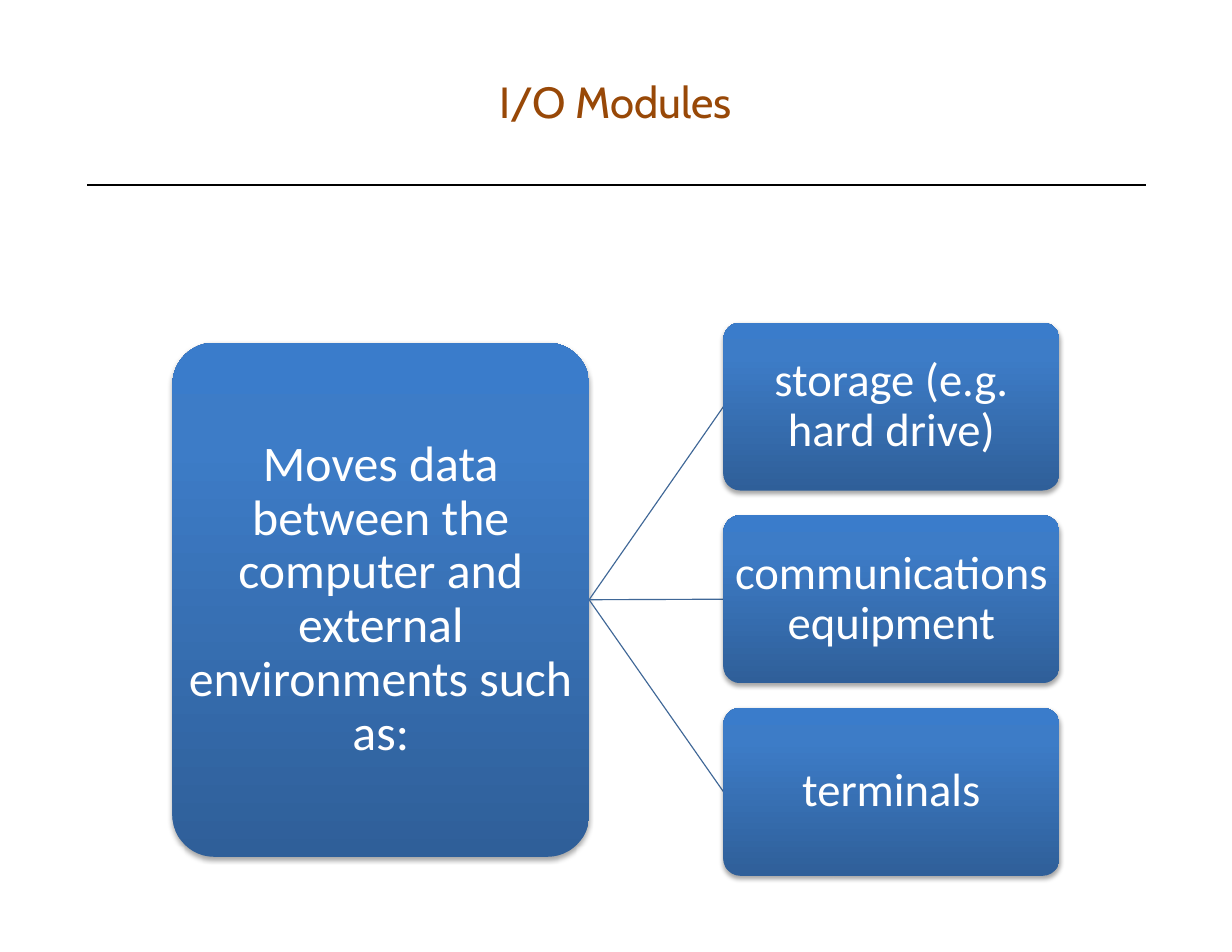
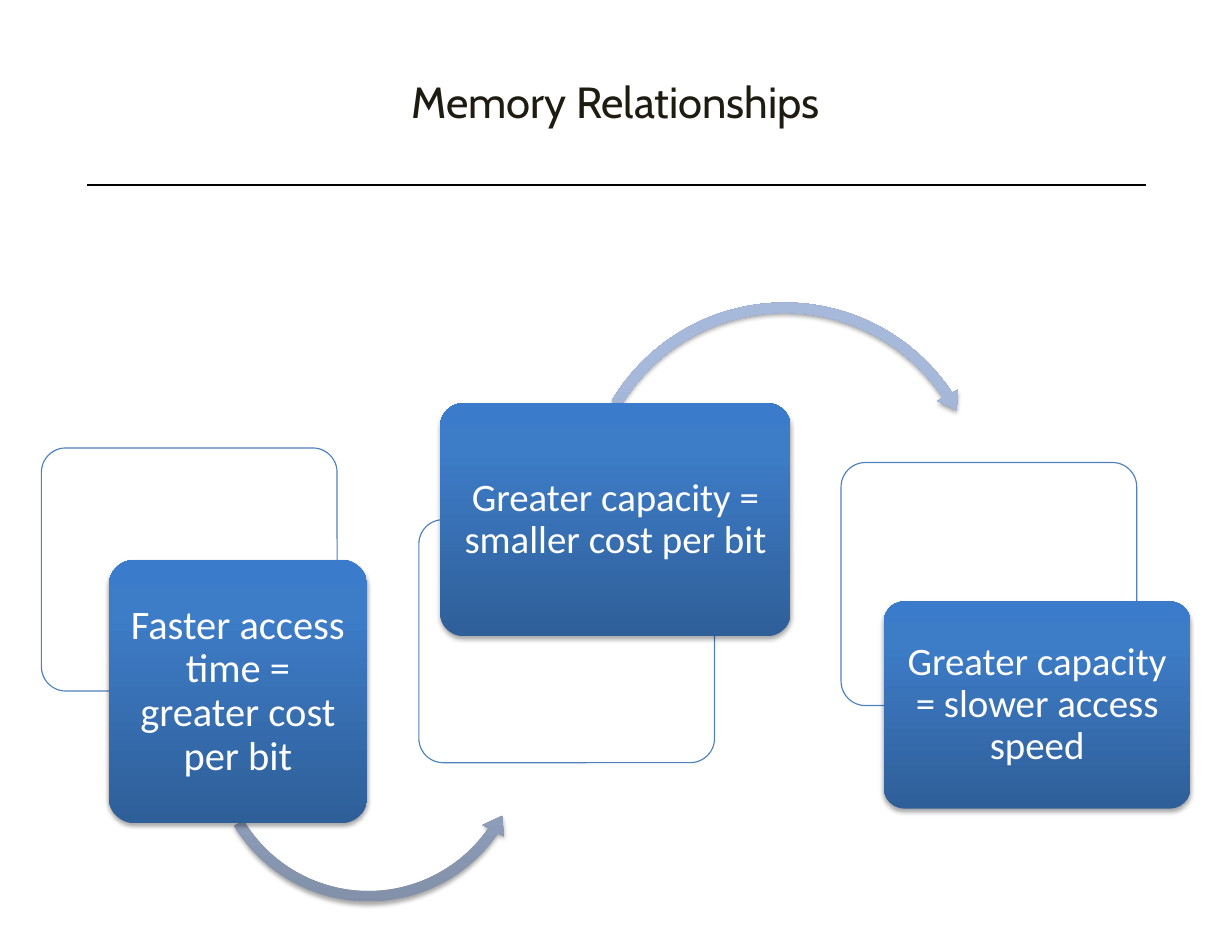
from copy import deepcopy
from dataclasses import dataclass

from lxml import etree
from pptx import Presentation
from pptx.dml.color import RGBColor
from pptx.enum.shapes import MSO_CONNECTOR, MSO_SHAPE
from pptx.enum.text import MSO_ANCHOR, PP_ALIGN
from pptx.oxml.ns import qn
from pptx.util import Inches, Pt

BLACK, WHITE = "000000", "FFFFFF"
BROWN, INK = "984807", "1E1C11"
LINK_BLUE, FRAME_BLUE = "3F6797", "4F81BD"
CARD_GRADIENT = ((0, "2F5F99"), (0.8, "3D7CC7"), (1, "3A7CCB"))
ARROW_GRADIENT = ((0, "818FA8"), (0.8, "A7B9DA"), (1, "A7BADC"))
TITLE_FONT, BODY_FONT = "Cabin", "Calibri"
CORNER = 0.1


@dataclass(frozen=True)
class Box:
    """A rectangle in inches."""
    left: float
    top: float
    width: float
    height: float

    @property
    def right(self) -> float:
        return self.left + self.width

    @property
    def middle(self) -> float:
        return self.top + self.height / 2

    def emu(self) -> list:
        return [Inches(v) for v in (self.left, self.top, self.width, self.height)]


@dataclass(frozen=True)
class Card:
    text: str
    box: Box
    size: int
    inset_x: float = 0.02
    inset_y: float = 0.02


@dataclass(frozen=True)
class Arc:
    """A circular arrow: thickness and head in percent, angles in degrees."""
    kind: MSO_SHAPE
    box: Box
    thickness: float
    head_angle: float
    end: float
    start: float
    head: float


@dataclass(frozen=True)
class Step:
    frame: Box
    card: Card
    arc: Arc | None = None


MAIN = Card("Moves data between the computer and external environments such as:",
            Box(1.54, 3.06, 3.72, 4.59), 32)
DEVICES = ("storage (e.g. hard drive)", "communications equipment", "terminals")
DEVICE_BOX, DEVICE_PITCH = Box(6.46, 2.88, 3, 1.5), 1.72

FRAME_SIZE = (2.64, 2.17)
STEPS = (
    Step(Box(0.37, 4, *FRAME_SIZE),
         Card("Faster access time = greater cost per bit",
              Box(0.97, 5, 2.31, 2.35), 26, 0.05, 0.04),
         Arc(MSO_SHAPE.LEFT_CIRCULAR_ARROW, Box(1.83, 5.19, 2.92, 2.92),
             3.2, 6.55, 34.55, 148.81, 3.7)),
    Step(Box(3.74, 4.64, *FRAME_SIZE),
         Card("Greater capacity = smaller cost per bit",
              Box(3.93, 3.6, 3.13, 2.08), 25, 0.05, 0.03),
         Arc(MSO_SHAPE.CIRCULAR_ARROW, Box(5.15, 2.64, 3.71, 3.71),
             2.5, 5.08, 326.43, 210.69, 2.9)),
    Step(Box(7.51, 4.13, *FRAME_SIZE),
         Card("Greater capacity = slower access speed",
              Box(7.89, 5.37, 2.74, 1.85), 25, 0.05, 0.03)),
)


def rgb(color: str) -> RGBColor:
    return RGBColor.from_string(color)


def set_text(sp, text: str, font: str, size: int, color: str,
             inset_x: float = 0, inset_y: float = 0):
    """Write one centred paragraph and return it."""
    tf = sp.text_frame
    tf.word_wrap = True
    tf.margin_left = tf.margin_right = Inches(inset_x)
    tf.margin_top = tf.margin_bottom = Inches(inset_y)
    p = tf.paragraphs[0]
    p.text = text
    p.alignment = PP_ALIGN.CENTER
    f = p.runs[0].font
    f.name, f.size, f.color.rgb = font, Pt(size), rgb(color)
    return p


def add_line(slide, start: tuple, end: tuple, color: str, width: float) -> None:
    line = slide.shapes.add_connector(MSO_CONNECTOR.STRAIGHT,
                                      *(Inches(v) for v in start + end))
    line.line.color.rgb = rgb(color)
    line.line.width = Pt(width)
    etree.SubElement(line._element.spPr, qn("a:effectLst"))


def fill_gradient(sp, stops: tuple) -> None:
    """Fill with three stops, running from bottom to top."""
    sp.fill.gradient()
    sp.fill.gradient_angle = 90
    gs_list = sp._element.spPr.find(qn("a:gradFill")).find(qn("a:gsLst"))
    gs_list.append(deepcopy(gs_list[0]))
    for stop, (position, color) in zip(sp.fill.gradient_stops, stops):
        stop.position = position
        stop.color.rgb = rgb(color)


def add_shadow(sp) -> None:
    effects = sp._element.spPr.find(qn("a:effectLst"))
    shadow = etree.SubElement(effects, qn("a:outerShdw"), blurRad=str(Pt(3.1)),
                              dist=str(Pt(1.8)), dir="5400000", rotWithShape="0")
    color = etree.SubElement(shadow, qn("a:srgbClr"), val=BLACK)
    etree.SubElement(color, qn("a:alpha"), val="35000")


def add_raised(slide, kind: MSO_SHAPE, box: Box, stops: tuple):
    """Add a gradient shape with a soft shadow and no outline."""
    sp = slide.shapes.add_shape(kind, *box.emu())
    fill_gradient(sp, stops)
    sp.line.fill.background()
    sp.shadow.inherit = False
    add_shadow(sp)
    return sp


def add_card(slide, card: Card) -> None:
    sp = add_raised(slide, MSO_SHAPE.ROUNDED_RECTANGLE, card.box, CARD_GRADIENT)
    sp.adjustments[0] = CORNER
    p = set_text(sp, card.text, BODY_FONT, card.size, WHITE, card.inset_x, card.inset_y)
    p.line_spacing = 0.9
    sp.text_frame.vertical_anchor = MSO_ANCHOR.MIDDLE


def add_frame(slide, box: Box) -> None:
    sp = slide.shapes.add_shape(MSO_SHAPE.ROUNDED_RECTANGLE, *box.emu())
    sp.adjustments[0] = CORNER
    sp.shadow.inherit = False
    sp.fill.solid()
    sp.fill.fore_color.rgb = rgb(WHITE)
    color = sp._element.spPr.find(qn("a:solidFill"))[0]
    etree.SubElement(color, qn("a:alpha"), val="90000")
    sp.line.color.rgb = rgb(FRAME_BLUE)
    sp.line.width = Pt(0.75)


def add_arc(slide, arc: Arc) -> None:
    sp = add_raised(slide, arc.kind, arc.box, ARROW_GRADIENT)
    # Angles are stored in 60000ths of a degree, adjustments in 100000ths.
    values = (arc.thickness / 100, arc.head_angle * 0.6, arc.end * 0.6,
              arc.start * 0.6, arc.head / 100)
    for i, value in enumerate(values):
        sp.adjustments[i] = value


def add_titled_slide(prs, title: str, color: str):
    slide = prs.slides.add_slide(prs.slide_layouts[6])
    add_line(slide, (0.78, 1.65), (10.23, 1.65), BLACK, 1.25)
    tb = slide.shapes.add_textbox(*Box(0.79, 0.67, 9.41, 0.47).emu())
    set_text(tb, title, TITLE_FONT, 28, color)
    return slide


def build_io_modules(prs) -> None:
    slide = add_titled_slide(prs, "I/O Modules", BROWN)
    add_card(slide, MAIN)
    for i, device in enumerate(DEVICES):
        box = Box(DEVICE_BOX.left, DEVICE_BOX.top + i * DEVICE_PITCH,
                  DEVICE_BOX.width, DEVICE_BOX.height)
        add_line(slide, (MAIN.box.right, MAIN.box.middle), (box.left, box.middle),
                 LINK_BLUE, 0.75)
        add_card(slide, Card(device, box, 30))


def build_memory_relationships(prs) -> None:
    slide = add_titled_slide(prs, "Memory Relationships", INK)
    for step in STEPS:
        add_frame(slide, step.frame)
        if step.arc:
            add_arc(slide, step.arc)
        add_card(slide, step.card)


def main() -> None:
    prs = Presentation()
    prs.slide_width, prs.slide_height = Inches(11), Inches(8.5)
    build_io_modules(prs)
    build_memory_relationships(prs)
    prs.save("out.pptx")


if __name__ == "__main__":
    main()
